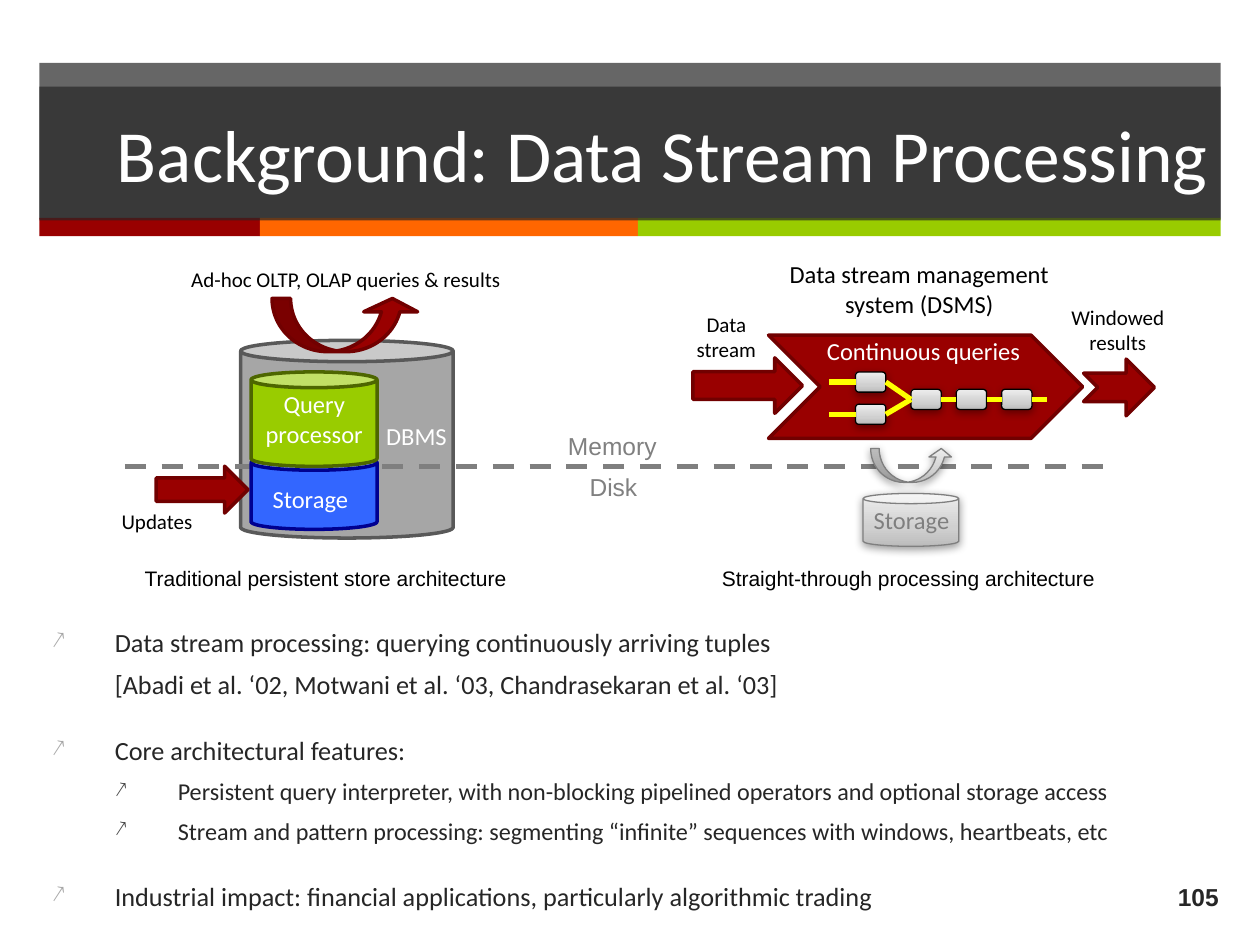
from copy import deepcopy
from dataclasses import dataclass

from lxml import etree
from pptx import Presentation
from pptx.dml.color import RGBColor
from pptx.enum.dml import MSO_LINE
from pptx.enum.shapes import MSO_CONNECTOR, MSO_SHAPE
from pptx.enum.text import MSO_ANCHOR, PP_ALIGN
from pptx.oxml.ns import qn
from pptx.util import Pt

RECT, CAN, ROUND = MSO_SHAPE.RECTANGLE, MSO_SHAPE.CAN, MSO_SHAPE.ROUNDED_RECTANGLE
ARROW, NOTCH = MSO_SHAPE.RIGHT_ARROW, MSO_SHAPE.NOTCHED_RIGHT_ARROW
CURVE, CHEVRON = MSO_SHAPE.CURVED_UP_ARROW, MSO_SHAPE.CHEVRON
STRAIGHT, DASH = MSO_CONNECTOR.STRAIGHT, MSO_LINE.DASH
LEFT, MID, RIGHT = PP_ALIGN.LEFT, PP_ALIGN.CENTER, PP_ALIGN.RIGHT
TOP, CENTRE = MSO_ANCHOR.TOP, MSO_ANCHOR.MIDDLE
WEST, EAST = 1, 3


@dataclass(frozen=True)
class Theme:
    sans: str = "Calibri"
    plain: str = "Arial"
    title: float = 42
    body: float = 15
    sub: float = 13.8
    label: float = 14
    small: float = 12
    ink: str = "262626"
    black: str = "000000"
    white: str = "FFFFFF"
    red: str = "990000"
    maroon: str = "710000"
    orange: str = "FF6600"
    lime: str = "99CC00"
    moss: str = "4D6600"
    blue: str = "3366FF"
    navy: str = "000090"
    yellow: str = "FFFF00"
    store: str = "A6A6A6"
    edge: str = "595959"
    rule: str = "7F7F7F"
    zone: str = "808080"
    mark: str = "A6A6A6"
    point: str = "404040"
    metal: tuple = ((0, "BCBCBC"), (0.35, "D0D0D0"), (1, "EDEDED"))


def rgb(code):
    return RGBColor.from_string(code)


def sub(node, tag, **attrs):
    """Add a child in the drawing namespace."""
    return etree.SubElement(node, qn("a:" + tag), {k: str(v) for k, v in attrs.items()})


class Board:
    def __init__(self, slide, theme):
        self.slide, self.theme = slide, theme

    def shape(self, kind, box, fill, edge=None, width=2, adj=(), alpha=None):
        item = self.slide.shapes.add_shape(kind, *map(Pt, box))
        item.shadow.inherit = False
        for i, value in enumerate(adj):
            item.adjustments[i] = value
        item.fill.solid()
        item.fill.fore_color.rgb = rgb(fill)
        if alpha:
            tint = item.fill._xPr.find(qn("a:solidFill"))[0]
            sub(tint, "alpha", val=alpha * 1000)
        if edge:
            item.line.color.rgb = rgb(edge)
            item.line.width = Pt(width)
        else:
            item.line.fill.background()
        return item

    def steel(self, kind, box, edge, adj=()):
        """Add a shape with a metal gradient and a soft shadow."""
        item = self.shape(kind, box, self.theme.white, edge, 0.75, adj)
        item.fill.gradient()
        item.fill.gradient_angle = 90
        props = item._element.spPr
        stops = props.find(qn("a:gradFill")).find(qn("a:gsLst"))
        stops.append(deepcopy(stops[0]))
        for stop, (place, code) in zip(item.fill.gradient_stops, self.theme.metal):
            stop.position = place
            stop.color.rgb = rgb(code)
        shade = sub(props.find(qn("a:effectLst")), "outerShdw", blurRad=Pt(5),
                    dist=Pt(1.6), dir=5400000, rotWithShape=0)
        sub(sub(shade, "srgbClr", val=self.theme.black), "alpha", val=38000)
        return item

    def line(self, start, end, ink, dash=None):
        """Draw a line; each end is a point or a shape to join."""
        ends = [(0, 0) if hasattr(e, "shape_id") else e for e in (start, end)]
        item = self.slide.shapes.add_connector(
            STRAIGHT, *(Pt(v) for spot in ends for v in spot))
        item.line.color.rgb = rgb(ink)
        item.line.width = Pt(3)
        if dash:
            item.line.dash_style = dash
        sub(item._element.spPr, "effectLst")
        if hasattr(start, "shape_id"):
            item.begin_connect(start, EAST)
        if hasattr(end, "shape_id"):
            item.end_connect(end, WEST)

    def run(self, para, words, size, ink, font=None, bold=False):
        piece = para.add_run()
        piece.text = words
        piece.font.name = font or self.theme.sans
        piece.font.size = Pt(size)
        piece.font.bold = bold
        piece.font.color.rgb = rgb(ink)

    def text(self, box, words, size, ink, font=None, align=MID, wrap=True,
             anchor=TOP, bold=False):
        frame = self.slide.shapes.add_textbox(*map(Pt, box)).text_frame
        frame.word_wrap = wrap
        frame.vertical_anchor = anchor
        para = frame.paragraphs[0]
        para.alignment = align
        self.run(para, words, size, ink, font, bold)

    def bullets(self, box, rows):
        """Add rows of (words, level, space before, bullet shown)."""
        t = self.theme
        frame = self.slide.shapes.add_textbox(*map(Pt, box)).text_frame
        frame.word_wrap = True
        for i, (words, level, gap, shown) in enumerate(rows):
            para = frame.add_paragraph() if i else frame.paragraphs[0]
            para.level = level
            props = para._p.get_or_add_pPr()
            props.set("marL", str(Pt(36 * (level + 1))))
            props.set("indent", str(Pt(-36 if shown else 0)))
            if shown:
                sub(sub(props, "buClr"), "srgbClr", val=t.point if level else t.mark)
                sub(props, "buSzPct", val=90000)
                sub(props, "buChar", char="↗")
            para.space_before = Pt(gap)
            self.run(para, words, t.sub if level else t.body, t.ink)


def header(b, t):
    b.shape(RECT, (22.5, 36, 675, 89), t.ink, alpha=70)
    left = 22.5
    for wide, fill in ((126, t.red), (216, t.orange), (333, t.lime)):
        b.shape(RECT, (left, 124.5, wide, 10.5), fill)
        left += wide
    box = (22.5, 49.5, 675, 76.5)
    b.shape(RECT, box, t.ink, alpha=70)
    b.text(box, "Background: Data Stream Processing", t.title, t.white,
           align=RIGHT, anchor=CENTRE)


def store(b, t):
    b.shape(CAN, (137.5, 194.5, 121.5, 113), t.store, t.edge, adj=[0.108])
    b.line((71.3, 266.7), (635.8, 266.7), t.rule, DASH)
    b.shape(CAN, (143.5, 260, 72, 42.5), t.blue, t.navy, adj=[0.205])
    b.shape(ARROW, (89.3, 266.4, 52.5, 26.8), t.red, t.maroon)
    b.shape(CAN, (143.5, 212.5, 72, 54), t.lime, t.moss, adj=[0.167])
    b.shape(CURVE, (155.5, 170.6, 84.2, 30.4), t.red, t.maroon, adj=[0.348, 1.015, 0.25])
    b.text((59.8, 287.3, 59.8, 21.6), "Updates", t.small, t.black)
    b.text((95.8, 149, 203.8, 21.6), "Ad-hoc OLTP, OLAP queries & results", t.small, t.black)
    b.text((137.5, 218.9, 84.2, 41), "Query processor", t.label, t.white)
    b.text((206, 236.9, 64, 24.5), "DBMS", t.label, t.white)
    b.text((145.4, 272.9, 64, 24.5), "Storage", t.label, t.white)


def stream(b, t):
    b.steel(CAN, (493.2, 282, 54.7, 30.2), t.rule, [0.193])
    b.shape(CHEVRON, (439.2, 191.5, 179.5, 59), t.red, t.maroon)
    b.shape(ARROW, (396, 204.5, 62.6, 31.7), t.red, t.maroon)
    b.shape(NOTCH, (619.2, 205.2, 40.5, 32.4), t.red, t.maroon)
    b.steel(CURVE, (497.5, 256.3, 46.8, 19.4), t.rule, [0.25, 0.663, 0.25])
    b.text((385.2, 174.2, 59.8, 36.7), "Data stream", t.small, t.black)
    b.text((445.7, 188.6, 164.2, 24.5), "Continuous queries", t.label, t.white)
    b.text((488.9, 285.1, 64, 24.5), "Storage", t.label, t.rule)
    b.text((441.4, 144.7, 167.8, 41), "Data stream management system (DSMS)",
           t.label, t.black)
    b.text((599.8, 170.6, 77.8, 36), "Windowed results", t.small, t.black)

    wide, high = 17.3, 11.5
    feeds = [b.steel(ROUND, (488.9, y, wide, high), t.black) for y in (212.6, 231)]
    chain = [b.steel(ROUND, (520.6 + 25.9 * i, 222.5, wide, high), t.black)
             for i in range(3)]
    for feed in feeds:
        level = feed.top.pt + high / 2
        b.line((473.8, level), feed, t.yellow)
        b.line(feed, chain[0], t.yellow)
    for start, end in zip(chain, chain[1:] + [(598.3, 222.5 + high / 2)]):
        b.line(start, end, t.yellow)


def labels(b, t):
    for left, wide, kind in ((75.6, 223.2, "Traditional persistent store"),
                             (405.4, 230.4, "Straight-through processing")):
        b.text((left, 319.7, wide, 21.6), kind + " architecture", t.small, t.black,
               t.plain, LEFT, False)
    for box, zone in (((317.5, 242.6, 67, 24.5), "Memory"),
                      ((329.8, 266.4, 42.5, 24.5), "Disk")):
        b.text(box, zone, t.label, t.zone, t.plain, LEFT, False)


def main():
    deck = Presentation()
    deck.slide_width, deck.slide_height = Pt(720), Pt(540)
    t = Theme()
    b = Board(deck.slides.add_slide(deck.slide_layouts[6]), t)
    b.text((653.8, 498.2, 49.7, 28), "105", t.label, t.ink, t.plain, RIGHT,
           anchor=CENTRE, bold=True)
    header(b, t)
    b.bullets((22.5, 354.2, 675, 167.8), [
        ("Data stream processing: querying continuously arriving tuples", 0, 0, True),
        ("[Abadi et al. ‘02, Motwani et al. ‘03, Chandrasekaran et al. ‘03]", 0, 6, False),
        ("Core architectural features:", 0, 20, True),
        ("Persistent query interpreter, with non-blocking pipelined operators "
         "and optional storage access", 1, 6, True),
        ("Stream and pattern processing: segmenting “infinite” sequences "
         "with windows, heartbeats, etc", 1, 6, True),
        ("Industrial impact: financial applications, particularly algorithmic trading",
         0, 20, True),
    ])
    store(b, t)
    stream(b, t)
    labels(b, t)
    deck.save("out.pptx")


if __name__ == "__main__":
    main()
